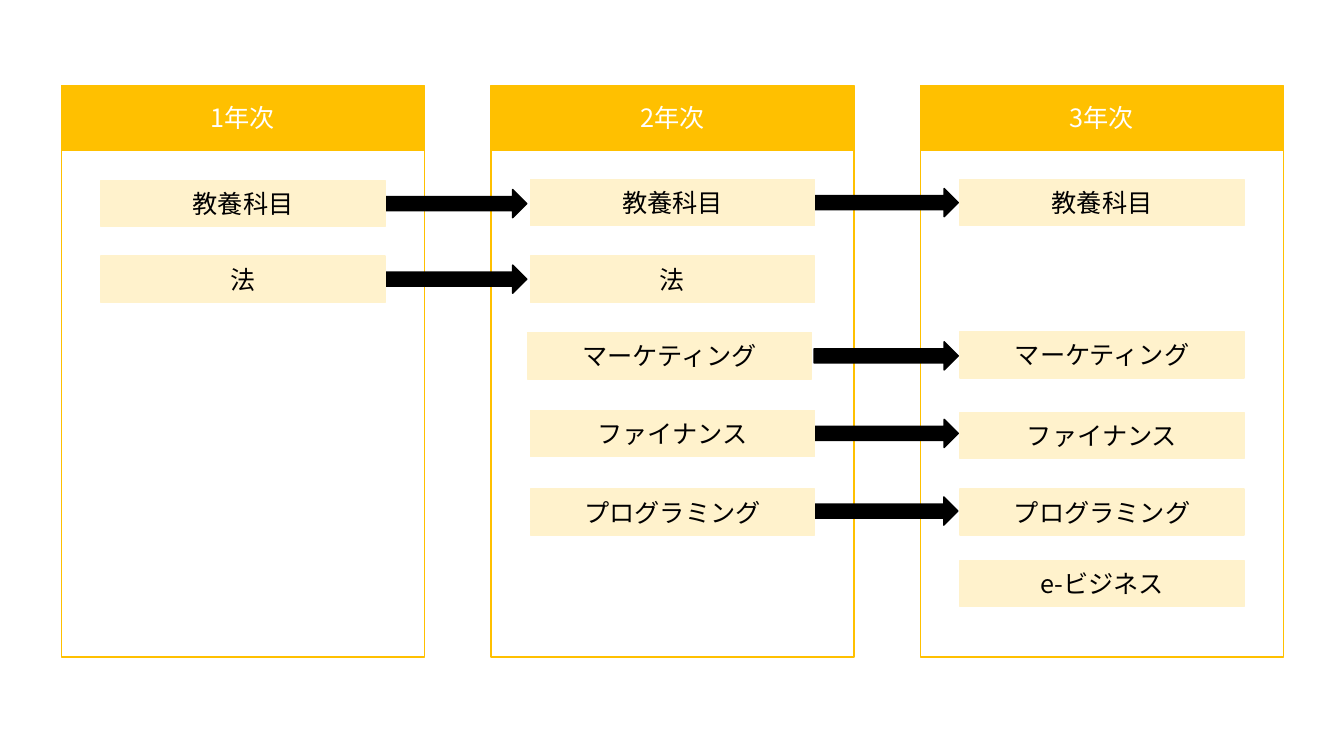
import dataclasses

import pptx
import pptx.dml.color
import pptx.enum.shapes
import pptx.enum.text
import pptx.oxml
import pptx.oxml.ns
import pptx.util

Inches = pptx.util.Inches
Preset = pptx.enum.shapes.MSO_SHAPE


@dataclasses.dataclass(frozen=True)
class Theme:
    """Colours and type of the slide."""
    font: str = "Noto Sans CJK JP"
    text_size: int = 18
    line_width: int = 1
    accent: str = "FFC000"
    course: str = "FFF2CC"
    light: str = "FFFFFF"
    dark: str = "000000"


class Painter:
    """Draws styled elements on the current slide."""

    def __init__(self, page, theme):
        """Keep the slide and its style."""
        self.page = page
        self.theme = theme

    def shape(self, preset, left, top, width, height, line, fill=None):
        """Add a preset shape with a plain outline and optional fill."""
        shape = self.page.shapes.add_shape(
            preset, Inches(left), Inches(top), Inches(width), Inches(height))
        shape.shadow.inherit = False
        shape.line.color.rgb = pptx.dml.color.RGBColor.from_string(line)
        shape.line.width = pptx.util.Pt(self.theme.line_width)
        if fill:
            shape.fill.solid()
            shape.fill.fore_color.rgb = pptx.dml.color.RGBColor.from_string(fill)
        else:
            shape.fill.background()
        return shape

    def frame(self, left, top, width, height):
        """Add an unfilled frame."""
        self.shape(Preset.RECTANGLE, left, top, width, height, self.theme.accent)

    def label(self, text, left, top, width, height, fill, color):
        """Add a filled box with one centred line of text."""
        box = self.shape(Preset.RECTANGLE, left, top, width, height, fill, fill)
        box.text_frame.vertical_anchor = pptx.enum.text.MSO_ANCHOR.MIDDLE
        para = box.text_frame.paragraphs[0]
        para.alignment = pptx.enum.text.PP_ALIGN.CENTER
        span = para.add_run()
        span.text = text
        span.font.name = self.theme.font
        span.font.size = pptx.util.Pt(self.theme.text_size)
        span.font.color.rgb = pptx.dml.color.RGBColor.from_string(color)
        east_asian = pptx.oxml.parse_xml(
            f'<a:ea {pptx.oxml.ns.nsdecls("a")} typeface="{self.theme.font}"/>')
        span.font._element.find(pptx.oxml.ns.qn("a:latin")).addnext(east_asian)

    def arrow(self, center_x, center_y, length, thickness=0.28):
        """Add a down arrow turned to point right, placed by its centre."""
        arrow = self.shape(
            Preset.DOWN_ARROW, center_x - thickness / 2, center_y - length / 2,
            thickness, length, self.theme.dark, self.theme.dark)
        arrow.rotation = 270


FIRST_LEFT, YEAR_STEP, YEAR_WIDTH = 0.61, 4.26, 3.6
HEADER_TOP, HEADER_HEIGHT = 0.85, 0.64
FRAME_TOP, FRAME_HEIGHT = 1.48, 5.04
COURSE_INDENT, COURSE_WIDTH, COURSE_HEIGHT = 0.39, 2.82, 0.46

# Each course: name, top, shift from the column's indent
YEARS = {
    "1年次": [("教養科目", 1.79, 0), ("法", 2.54, 0)],
    "2年次": [("教養科目", 1.78, 0), ("法", 2.54, 0), ("マーケティング", 3.3, -0.03),
            ("ファイナンス", 4.07, 0), ("プログラミング", 4.85, 0)],
    "3年次": [("教養科目", 1.78, 0), ("マーケティング", 3.29, 0), ("ファイナンス", 4.09, 0),
            ("プログラミング", 4.85, 0), ("e-ビジネス", 5.56, 0)],
}

# Each arrow: centre x, centre y, length
ARROWS = [(4.52, 2.02, 1.41), (4.52, 2.77, 1.41), (8.79, 2.01, 1.43),
          (8.79, 3.53, 1.43), (8.79, 4.3, 1.43), (8.76, 5.07, 1.48)]


def main():
    """Build the three-year course plan."""
    deck = pptx.Presentation()
    deck.slide_width, deck.slide_height = Inches(13.33), Inches(7.5)
    theme = Theme()
    painter = Painter(deck.slides.add_slide(deck.slide_layouts[6]), theme)
    lefts = [FIRST_LEFT + YEAR_STEP * index for index in range(len(YEARS))]

    for left, year in zip(lefts, YEARS):
        painter.frame(left, FRAME_TOP, YEAR_WIDTH, FRAME_HEIGHT)
        painter.label(year, left, HEADER_TOP, YEAR_WIDTH, HEADER_HEIGHT,
                      theme.accent, theme.light)
    for arrow in ARROWS:
        painter.arrow(*arrow)
    for left, courses in zip(lefts, YEARS.values()):
        for name, top, shift in courses:
            painter.label(name, left + COURSE_INDENT + shift, top, COURSE_WIDTH,
                          COURSE_HEIGHT, theme.course, theme.dark)

    deck.save("out.pptx")


main()
